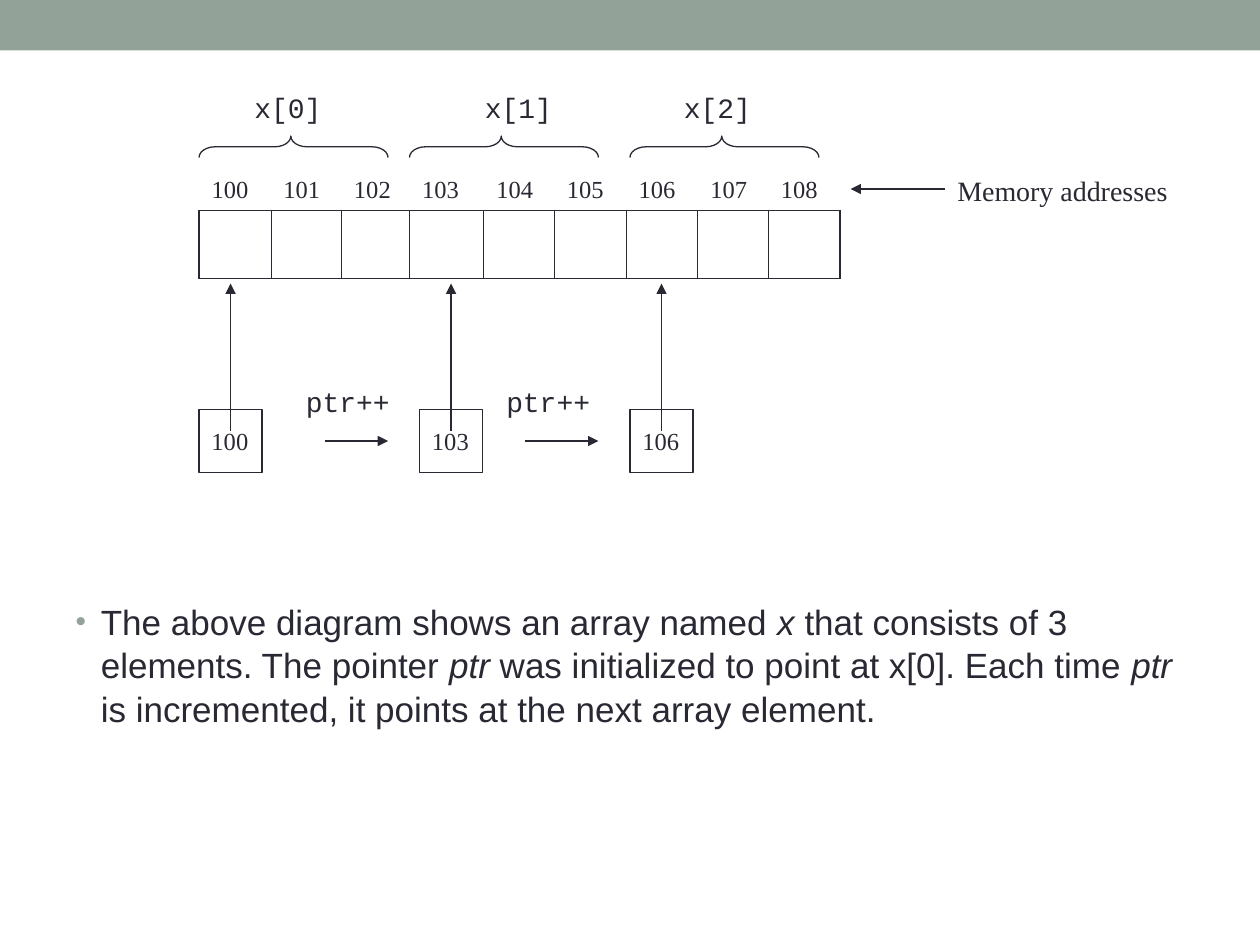
from lxml import etree
from pptx import Presentation
from pptx.dml.color import RGBColor
from pptx.enum.shapes import MSO_CONNECTOR, MSO_SHAPE
from pptx.enum.text import MSO_ANCHOR, MSO_AUTO_SIZE
from pptx.oxml.ns import qn
from pptx.util import Inches, Pt

RECT = MSO_SHAPE.RECTANGLE
BRACE = MSO_SHAPE.RIGHT_BRACE
STRAIGHT = MSO_CONNECTOR.STRAIGHT
BOTTOM = MSO_ANCHOR.BOTTOM
NO_AUTOFIT = MSO_AUTO_SIZE.NONE

COLORS = {"ink": "292934", "accent": "93A299"}
SERIF, MONO, SANS = "Times New Roman", "Courier New", "Arial"


class SlideBuilder:
    line_width = 0.75

    def __init__(self, slide):
        self.slide = slide

    def color(self, name):
        return RGBColor.from_string(COLORS[name])

    def style(self, r, font, size, italic=False):
        r.font.name = font
        r.font.size = Pt(size)
        r.font.italic = italic
        r.font.color.rgb = self.color("ink")

    def outline(self, s):
        s.line.color.rgb = self.color("ink")
        s.line.width = Pt(self.line_width)

    def shape(self, kind, x, y, w, h, fill=None):
        s = self.slide.shapes.add_shape(kind, Inches(x), Inches(y), Inches(w), Inches(h))
        s.shadow.inherit = False
        if fill:
            s.fill.solid()
            s.fill.fore_color.rgb = self.color(fill)
            s.line.fill.background()
        else:
            s.fill.background()
            self.outline(s)
        return s

    def brace(self, x, y, w, h):
        s = self.shape(BRACE, x + (w - h) / 2, y + (h - w) / 2, h, w)
        s.rotation = 270
        s.adjustments[0] = 0.75
        s.adjustments[1] = 0.486

    def text(self, text, x, y, w, h, font, size):
        s = self.slide.shapes.add_textbox(Inches(x), Inches(y), Inches(w), Inches(h))
        tf = s.text_frame
        tf.word_wrap = True
        tf.text = text
        self.style(tf.paragraphs[0].runs[0], font, size)

    def arrow(self, x1, y1, x2, y2):
        s = self.slide.shapes.add_connector(STRAIGHT, Inches(x1), Inches(y1), Inches(x2), Inches(y2))
        self.outline(s)
        etree.SubElement(s.line._get_or_add_ln(), qn("a:tailEnd"), type="triangle")
        etree.SubElement(s._element.spPr, qn("a:effectLst"))

    def border(self, cell, side, width):
        ln = etree.SubElement(cell._tc.get_or_add_tcPr(), qn(f"a:ln{side}"), w=str(Pt(width)))
        fill = etree.SubElement(ln, qn("a:solidFill"))
        etree.SubElement(fill, qn("a:srgbClr"), val=COLORS["ink"])

    def memory_table(self, x, y, widths, heights, addresses):
        frame = self.slide.shapes.add_table(
            2, len(widths), Inches(x), Inches(y), Inches(sum(widths)), Inches(sum(heights)))
        table = frame.table
        table.first_row = table.horz_banding = False
        for row, height in zip(table.rows, heights):
            row.height = Inches(height)
        thick, thin, medium = 1.08, 0.45, 0.75
        dividers = [thick, thin, thin, medium] + [thin] * 5 + [thick]
        for i, (width, address) in enumerate(zip(widths, addresses)):
            table.columns[i].width = Inches(width)
            label, box = table.cell(0, i), table.cell(1, i)
            label.text = str(address)
            label.vertical_anchor = BOTTOM
            self.style(label.text_frame.paragraphs[0].runs[0], SERIF, 14)
            self.border(label, "B", thick)
            for side, weight in zip("LRTB", (dividers[i], dividers[i + 1], thick, thick)):
                self.border(box, side, weight)
            for cell in (label, box):
                cell.fill.background()

    def body(self, parts, x, y, w, h):
        s = self.slide.placeholders[1]
        s.left, s.top, s.width, s.height = Inches(x), Inches(y), Inches(w), Inches(h)
        tf = s.text_frame
        tf.auto_size = NO_AUTOFIT
        p = tf.paragraphs[0]
        p.line_spacing = 1.04
        p.space_before = Pt(0)
        pPr = p._p.get_or_add_pPr()
        pPr.set("marL", str(Inches(0.2)))
        pPr.set("indent", str(-Inches(0.2)))
        bullet_color = etree.SubElement(pPr, qn("a:buClr"))
        etree.SubElement(bullet_color, qn("a:srgbClr"), val=COLORS["accent"])
        etree.SubElement(pPr, qn("a:buSzPct"), val="85000")
        etree.SubElement(pPr, qn("a:buFont"), typeface=SANS)
        etree.SubElement(pPr, qn("a:buChar"), char="•")
        for i, part in enumerate(parts):
            r = p.add_run()
            r.text = part
            self.style(r, SANS, 20, italic=i % 2 == 1)


def main():
    prs = Presentation()
    prs.slide_width, prs.slide_height = Inches(10), Inches(7.5)
    slide = prs.slides.add_slide(prs.slide_layouts[1])
    title = slide.shapes.title._element
    title.getparent().remove(title)
    b = SlideBuilder(slide)

    b.shape(RECT, 0, 0, 10, 0.4, fill="accent")
    b.body(["The above diagram shows an array named ", "x ",
            "that consists of 3 elements. The pointer ", "ptr ",
            "was initialized to point at x[0]. Each time ", "ptr ",
            "is incremented, it points at the next array element."],
           0.5, 4.7, 9.17, 2)
    b.memory_table(1.58, 1.33, [0.57, 0.56, 0.54, 0.59, 0.56, 0.57, 0.57, 0.56, 0.57],
                   [0.34, 0.54], range(100, 109))

    for i, (brace_x, label_x) in enumerate([(1.58, 1.92), (3.25, 3.75), (5, 5.33)]):
        b.brace(brace_x, 1.08, 1.5, 0.17)
        b.text(f"x[{i}]", label_x, 0.67, 1.08, 0.37, MONO, 16)

    b.arrow(7.5, 1.5, 6.75, 1.5)
    b.text("Memory addresses", 7.5, 1.33, 2.67, 0.37, SERIF, 16)

    for address, x in [(100, 1.58), (103, 3.33), (106, 5)]:
        b.shape(RECT, x, 3.25, 0.5, 0.5)
        b.arrow(x + 0.25, 3.42, x + 0.25, 2.25)
        b.text(str(address), x, 3.33, 0.58, 0.34, SERIF, 14)

    for label_x, start, end in [(2.33, 2.58, 3.08), (3.92, 4.17, 4.75)]:
        b.arrow(start, 3.5, end, 3.5)
        b.text("ptr++", label_x, 3, 1.17, 0.37, MONO, 16)

    prs.save("out.pptx")


if __name__ == "__main__":
    main()
